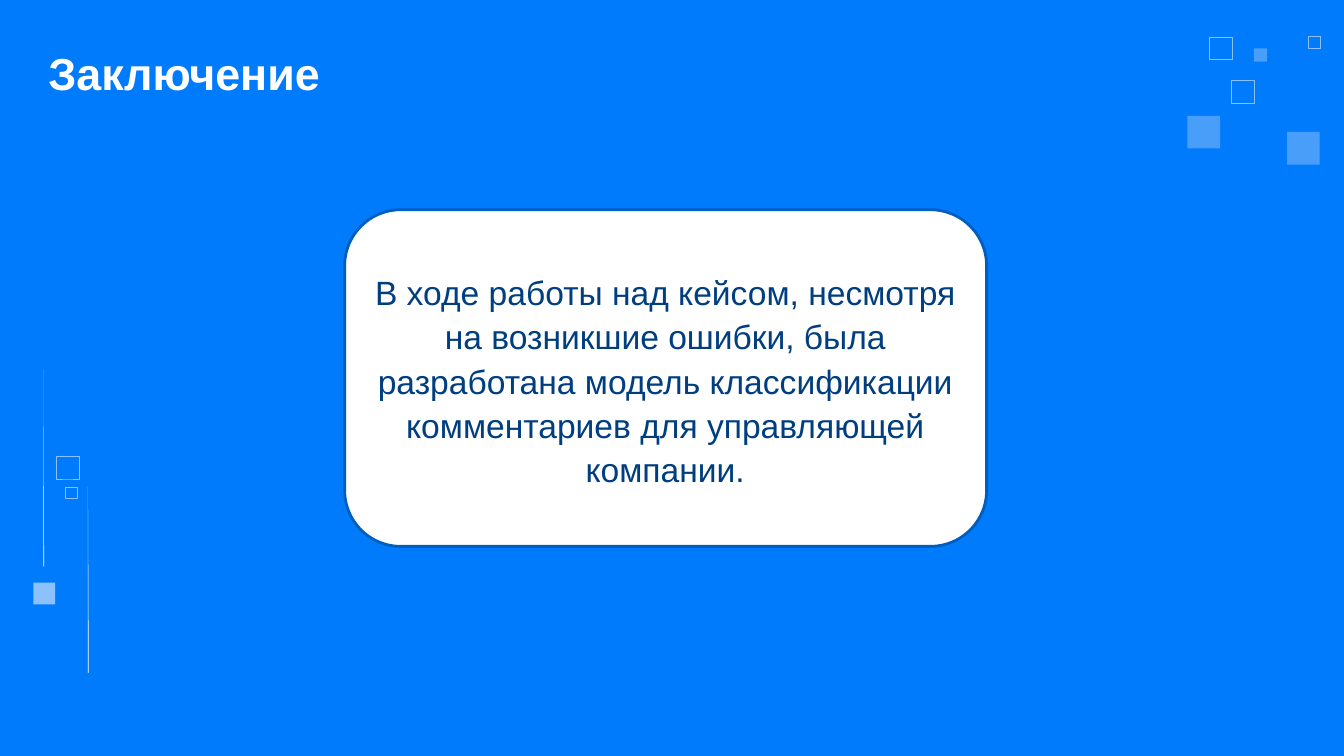
"""Build the closing slide with its conclusion card and square ornaments."""
from dataclasses import dataclass
from typing import Optional

from pptx import Presentation
from pptx.dml.color import RGBColor
from pptx.enum.shapes import MSO_SHAPE
from pptx.enum.text import MSO_ANCHOR, PP_ALIGN
from pptx.util import Pt


@dataclass(frozen=True)
class Theme:
    background: str = "007BFC"
    white: str = "FEFFFE"
    title: str = "FFFFFF"
    body: str = "003E80"
    border: str = "005EBF"
    pale: str = "8DC1FC"
    soft: str = "499EFA"
    font: str = "Arial"
    title_size: float = 32
    body_size: float = 24


@dataclass(frozen=True)
class Box:
    left: float
    top: float
    width: float
    height: float
    fill: Optional[str] = None
    line: Optional[str] = None
    weight: float = 0.23
    kind: MSO_SHAPE = MSO_SHAPE.RECTANGLE


@dataclass(frozen=True)
class Streak:
    left: float
    top: float
    height: float
    width: float = 0.6


THEME = Theme()
TITLE = Box(34.5, 34.5, 212.5, 39)
MESSAGE = Box(254.9, 182.2, 440.6, 176.4)
CARD = Box(246.2, 149.8, 458.6, 240.5, THEME.white, THEME.border, 2,
           MSO_SHAPE.ROUNDED_RECTANGLE)
OUTLINED = [(879.8, 57.6, 16), (864, 26.6, 16), (934.6, 25.9, 8.2),
            (40.3, 326.2, 16), (46.8, 347.8, 8.2)]
FILLED = [(919.4, 94.3, 23.3, THEME.soft), (895.7, 34.6, 9.4, THEME.soft),
          (848.2, 82.8, 23.3, THEME.soft), (23.8, 416.2, 15.6, THEME.pale)]
SQUARES = ([Box(x, y, a, a, line=THEME.pale) for x, y, a in OUTLINED]
           + [Box(x, y, a, a, fill=c) for x, y, a, c in FILLED])
STREAKS = [Streak(62.8, 347.8, 132.8), Streak(30.9, 263.5, 141.1)]


def rgb(value: str) -> RGBColor:
    return RGBColor.from_string(value)


def paint(sp, fill: Optional[str], line: Optional[str], weight: float) -> None:
    sp.shadow.inherit = False
    if fill:
        sp.fill.solid()
        sp.fill.fore_color.rgb = rgb(fill)
    else:
        sp.fill.background()
    if line:
        sp.line.color.rgb = rgb(line)
        sp.line.width = Pt(weight)
    else:
        sp.line.fill.background()


def add_box(s, box: Box) -> None:
    sp = s.shapes.add_shape(box.kind, Pt(box.left), Pt(box.top),
                            Pt(box.width), Pt(box.height))
    paint(sp, box.fill, box.line, box.weight)


def add_streak(s, streak: Streak) -> None:
    bottom = Pt(streak.top + streak.height)
    fb = s.shapes.build_freeform(Pt(streak.left), Pt(streak.top))
    fb.add_line_segments([(Pt(streak.left), bottom),
                          (Pt(streak.left + streak.width), bottom)])
    paint(fb.convert_to_shape(), THEME.white, None, 0)


def set_text(sp, text: str, size: float, color: str, align: PP_ALIGN,
             spacing: float, inset: float, bold: bool = False) -> None:
    tf = sp.text_frame
    tf.text = text
    tf.word_wrap = True
    tf.vertical_anchor = MSO_ANCHOR.MIDDLE
    tf.margin_left = tf.margin_right = Pt(inset)
    tf.margin_top = tf.margin_bottom = Pt(inset)
    p = tf.paragraphs[0]
    p.alignment = align
    p.line_spacing = spacing
    p.space_before = Pt(0)
    p.font.name = THEME.font
    p.font.size = Pt(size)
    p.font.bold = bold
    p.font.color.rgb = rgb(color)


def main() -> None:
    prs = Presentation()
    prs.slide_width, prs.slide_height = Pt(960), Pt(540)
    s = prs.slides.add_slide(prs.slide_layouts[5])
    s.background.fill.solid()
    s.background.fill.fore_color.rgb = rgb(THEME.background)

    title = s.shapes.title
    title.left, title.top = Pt(TITLE.left), Pt(TITLE.top)
    title.width, title.height = Pt(TITLE.width), Pt(TITLE.height)
    set_text(title, "Заключение", THEME.title_size, THEME.title,
             PP_ALIGN.LEFT, 0.9, 0, bold=True)

    for box in [CARD, *SQUARES]:
        add_box(s, box)
    for streak in STREAKS:
        add_streak(s, streak)

    message = s.shapes.add_textbox(Pt(MESSAGE.left), Pt(MESSAGE.top),
                                   Pt(MESSAGE.width), Pt(MESSAGE.height))
    set_text(message,
             "В ходе работы над кейсом, несмотря на возникшие ошибки, "
             "была разработана модель классификации комментариев "
             "для управляющей компании.",
             THEME.body_size, THEME.body, PP_ALIGN.CENTER, 1.1, 4)
    prs.save("out.pptx")


if __name__ == "__main__":
    main()
